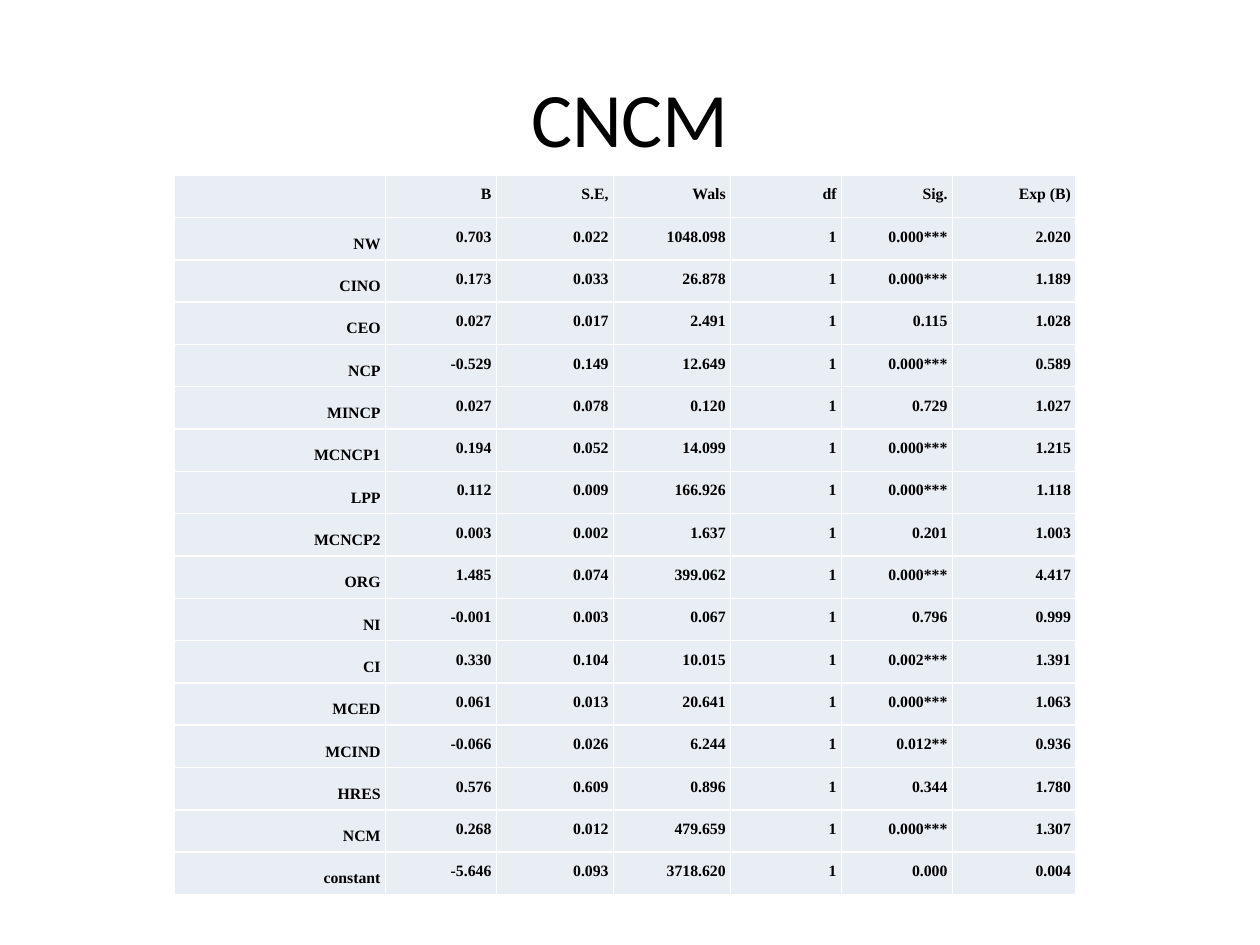
from lxml.etree import SubElement as Sub
from pptx import Presentation
from pptx.dml.color import RGBColor as RGB
from pptx.enum.text import MSO_ANCHOR as Anchor, PP_ALIGN as Align
from pptx.oxml.ns import qn
from pptx.util import Inches, Pt

COLORS = {"text": "000000", "cell": "E9EDF4", "line": "FFFFFF"}
WIDTHS = [1.68, 0.88, 0.93, 0.93, 0.88, 0.88, 0.98]
HEAD = ["", "B", "S.E,", "Wals", "df", "Sig.", "Exp (B)"]

# Name, B, standard error, Wald, df, significance, Exp(B)
DATA = """
NW 0.703 0.022 1048.098 1 0.000*** 2.020
CINO 0.173 0.033 26.878 1 0.000*** 1.189
CEO 0.027 0.017 2.491 1 0.115 1.028
NCP -0.529 0.149 12.649 1 0.000*** 0.589
MINCP 0.027 0.078 0.120 1 0.729 1.027
MCNCP1 0.194 0.052 14.099 1 0.000*** 1.215
LPP 0.112 0.009 166.926 1 0.000*** 1.118
MCNCP2 0.003 0.002 1.637 1 0.201 1.003
ORG 1.485 0.074 399.062 1 0.000*** 4.417
NI -0.001 0.003 0.067 1 0.796 0.999
CI 0.330 0.104 10.015 1 0.002*** 1.391
MCED 0.061 0.013 20.641 1 0.000*** 1.063
MCIND -0.066 0.026 6.244 1 0.012** 0.936
HRES 0.576 0.609 0.896 1 0.344 1.780
NCM 0.268 0.012 479.659 1 0.000*** 1.307
constant -5.646 0.093 3718.620 1 0.000 0.004
"""


def write(frame, text, font="Calibri", size=44, bold=False,
          align=Align.CENTER, lead=None, indent=None):
    para = frame.paragraphs[0]
    para.alignment = align
    if lead:
        para.line_spacing = Pt(lead)
    if indent:
        for side in ("marL", "marR"):
            para._p.get_or_add_pPr().set(side, str(Inches(indent)))
    run = para.add_run()
    run.text = text
    run.font.name, run.font.size, run.font.bold = font, Pt(size), bold
    run.font.color.rgb = RGB.from_string(COLORS["text"])


class Deck:
    def __init__(self, show):
        self.slide = show.slides.add_slide(show.slide_layouts[5])
        self.style = dict(font="Times New Roman", size=9, bold=True,
                          align=Align.RIGHT, lead=16, indent=0.04)

    def title(self, text, left, top, width, height):
        shape = self.slide.shapes.title
        shape.left, shape.top = Inches(left), Inches(top)
        shape.width, shape.height = Inches(width), Inches(height)
        shape.text_frame.vertical_anchor = Anchor.MIDDLE
        write(shape.text_frame, text)

    def border(self, cell):
        props = cell._tc.get_or_add_tcPr()
        for side in ("lnL", "lnR", "lnT", "lnB"):
            line = Sub(props, qn(f"a:{side}"), w=str(Pt(1)))
            fill = Sub(line, qn("a:solidFill"))
            Sub(fill, qn("a:srgbClr"), val=COLORS["line"])

    def cell(self, cell, text, anchor):
        cell.margin_left = cell.margin_right = 0
        cell.margin_top = cell.margin_bottom = 0
        cell.vertical_anchor = anchor
        self.border(cell)
        cell.fill.solid()
        cell.fill.fore_color.rgb = RGB.from_string(COLORS["cell"])
        if text:
            write(cell.text_frame, text, **self.style)

    def table(self, rows, widths, left, top, height):
        grid = self.slide.shapes.add_table(
            len(rows), len(widths), Inches(left), Inches(top),
            Inches(sum(widths)), Inches(height)).table
        grid.first_row = grid.horz_banding = False
        for col, width in zip(grid.columns, widths):
            col.width = Inches(width)
        for r, row in enumerate(rows):
            for c, text in enumerate(row):
                # Row names sit in the middle, all else at the top
                anchor = Anchor.MIDDLE if r and c == 0 else Anchor.TOP
                self.cell(grid.cell(r, c), text, anchor)


def main():
    show = Presentation()
    show.slide_width, show.slide_height = Inches(10), Inches(7.5)
    deck = Deck(show)

    # Heading
    deck.title("CNCM", 0.5, 0.3, 9, 1.25)

    # Regression results
    rows = [HEAD] + [line.split() for line in DATA.strip().splitlines()]
    deck.table(rows, WIDTHS, 1.38, 1.39, 5.71)

    show.save("out.pptx")


if __name__ == "__main__":
    main()
